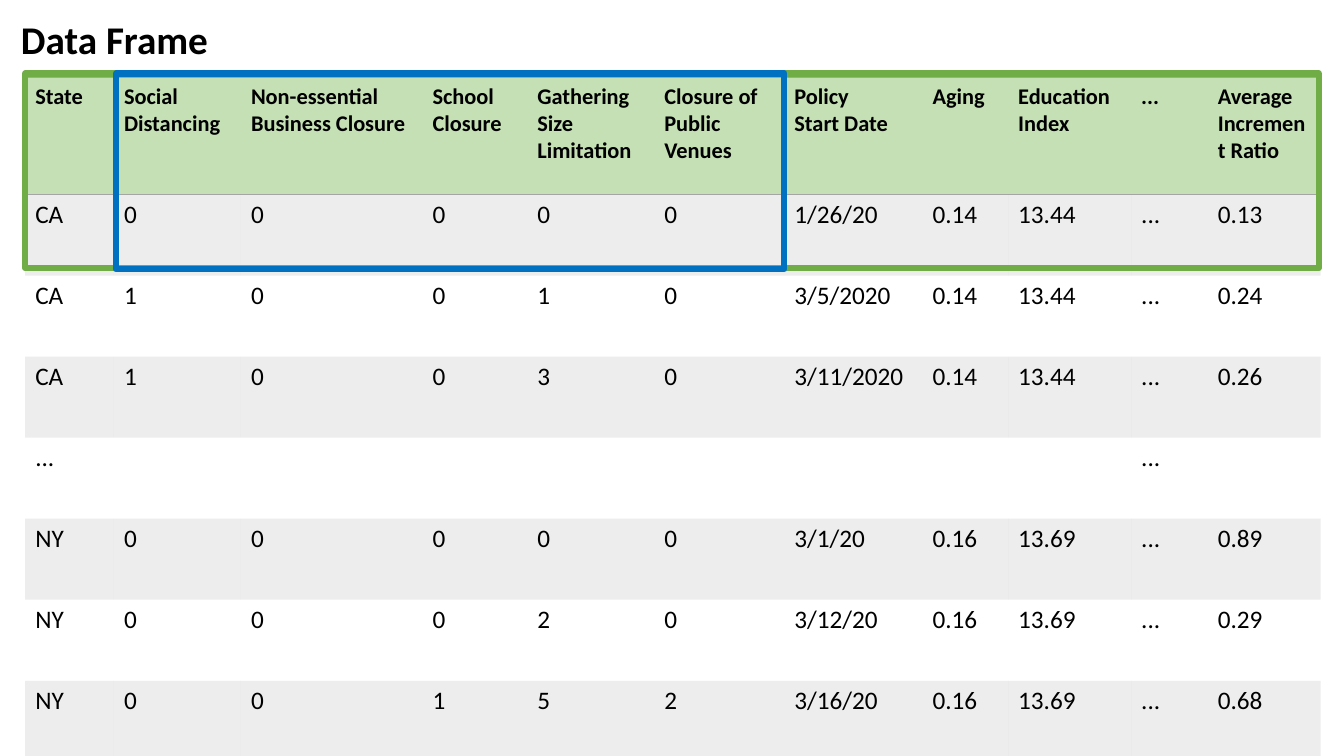
from lxml import etree
from pptx import Presentation
from pptx.dml.color import RGBColor
from pptx.enum import shapes
from pptx.oxml import ns
from pptx.util import Inches, Pt

FONT = "Calibri"
BLACK, GREY, HEADER_GREEN = "000000", "A5A5A5", "C5E0B4"
GREEN, BLUE = "70AD47", "0070C0"
PLAIN_STYLE = "{2D5ABB26-0587-4C30-8999-92F81FD0307C}"
COLUMN_WIDTHS = [0.88, 1.26, 1.8, 1.04, 1.26, 1.29, 1.37, 0.85, 1.22, 0.76, 1.12]
HEADER_HEIGHT, ROW_HEIGHT = 1.16, 0.804
ROWS = [
    ["State", "Social Distancing", "Non-essential\nBusiness Closure", "School Closure",
     "Gathering Size Limitation", "Closure of Public Venues", "Policy\nStart Date",
     "Aging", "Education Index", "...", "Average\nIncrement Ratio"],
    ["CA", "0", "0", "0", "0", "0", "1/26/20", "0.14", "13.44", "...", "0.13"],
    ["CA", "1", "0", "0", "1", "0", "3/5/2020", "0.14", "13.44", "...", "0.24"],
    ["CA", "1", "0", "0", "3", "0", "3/11/2020", "0.14", "13.44", "...", "0.26"],
    ["...", "", "", "", "", "", "", "", "", "...", ""],
    ["NY", "0", "0", "0", "0", "0", "3/1/20", "0.16", "13.69", "...", "0.89"],
    ["NY", "0", "0", "0", "2", "0", "3/12/20", "0.16", "13.69", "...", "0.29"],
    ["NY", "0", "0", "1", "5", "2", "3/16/20", "0.16", "13.69", "...", "0.68"],
]


def rgb(value):
    return RGBColor.from_string(value)


def write(tf, content, size, bold):
    tf.text = content
    for p in tf.paragraphs:
        for name, value in {"name": FONT, "size": Pt(size), "bold": bold}.items():
            setattr(p.font, name, value)
        p.font.color.rgb = rgb(BLACK)
        for r in p.runs:
            for name, value in {"name": FONT, "size": Pt(size), "bold": bold}.items():
                setattr(r.font, name, value)
            r.font.color.rgb = rgb(BLACK)


def fill_cell(cell, color, opacity=100):
    cell.fill.solid()
    cell.fill.fore_color.rgb = rgb(color)
    if opacity < 100:
        srgb = cell._tc.tcPr.find(".//" + ns.qn("a:srgbClr"))
        etree.SubElement(srgb, ns.qn("a:alpha"), val=str(opacity * 1000))


def add_borders(cell, sides):
    """Draw thin grey borders; they must come before the fill, in schema order."""
    for index, side in enumerate(sides):
        ln = etree.Element(ns.qn(f"a:ln{side}"), w=str(Pt(1)))
        solid = etree.SubElement(ln, ns.qn("a:solidFill"))
        etree.SubElement(solid, ns.qn("a:srgbClr"), val=GREY)
        cell._tc.get_or_add_tcPr().insert(index, ln)


def add_title(s, content):
    tf = s.shapes.add_textbox(Inches(0.11), Inches(0.1), Inches(2.29), Inches(0.57)).text_frame
    tf.word_wrap = False
    write(tf, content, 28, True)


def add_data_table(s):
    height = HEADER_HEIGHT + ROW_HEIGHT * (len(ROWS) - 1)
    table = s.shapes.add_table(len(ROWS), len(COLUMN_WIDTHS), Inches(0.25), Inches(0.77),
                               Inches(sum(COLUMN_WIDTHS)), Inches(height)).table
    table._tbl.tblPr.find(ns.qn("a:tableStyleId")).text = PLAIN_STYLE
    for column, width in zip(table.columns, COLUMN_WIDTHS):
        column.width = Inches(width)
    for i, values in enumerate(ROWS):
        header = i == 0
        table.rows[i].height = Inches(HEADER_HEIGHT if header else ROW_HEIGHT)
        for cell, value in zip(table.rows[i].cells, values):
            write(cell.text_frame, value, 16 if header else 18, header)
            if header:
                fill_cell(cell, HEADER_GREEN)
                add_borders(cell, "TB")
            elif i % 2:
                fill_cell(cell, GREY, 20)
            else:
                cell.fill.background()
            if i == len(ROWS) - 1:
                add_borders(cell, "B")


def add_frame(s, left, top, width, height, color):
    sp = s.shapes.add_shape(shapes.MSO_SHAPE.RECTANGLE, Inches(left), Inches(top),
                            Inches(width), Inches(height))
    sp.shadow.inherit = False
    sp.fill.background()
    sp.line.color.rgb = rgb(color)
    sp.line.width = Pt(4.5)


def main():
    prs = Presentation()
    prs.slide_width, prs.slide_height = Inches(13.33), Inches(7.5)
    s = prs.slides.add_slide(prs.slide_layouts[6])
    add_title(s, "Data Frame")
    add_data_table(s)
    add_frame(s, 0.25, 0.73, 12.83, 1.93, GREEN)
    add_frame(s, 1.15, 0.73, 6.63, 1.94, BLUE)
    prs.save("out.pptx")


if __name__ == "__main__":
    main()
